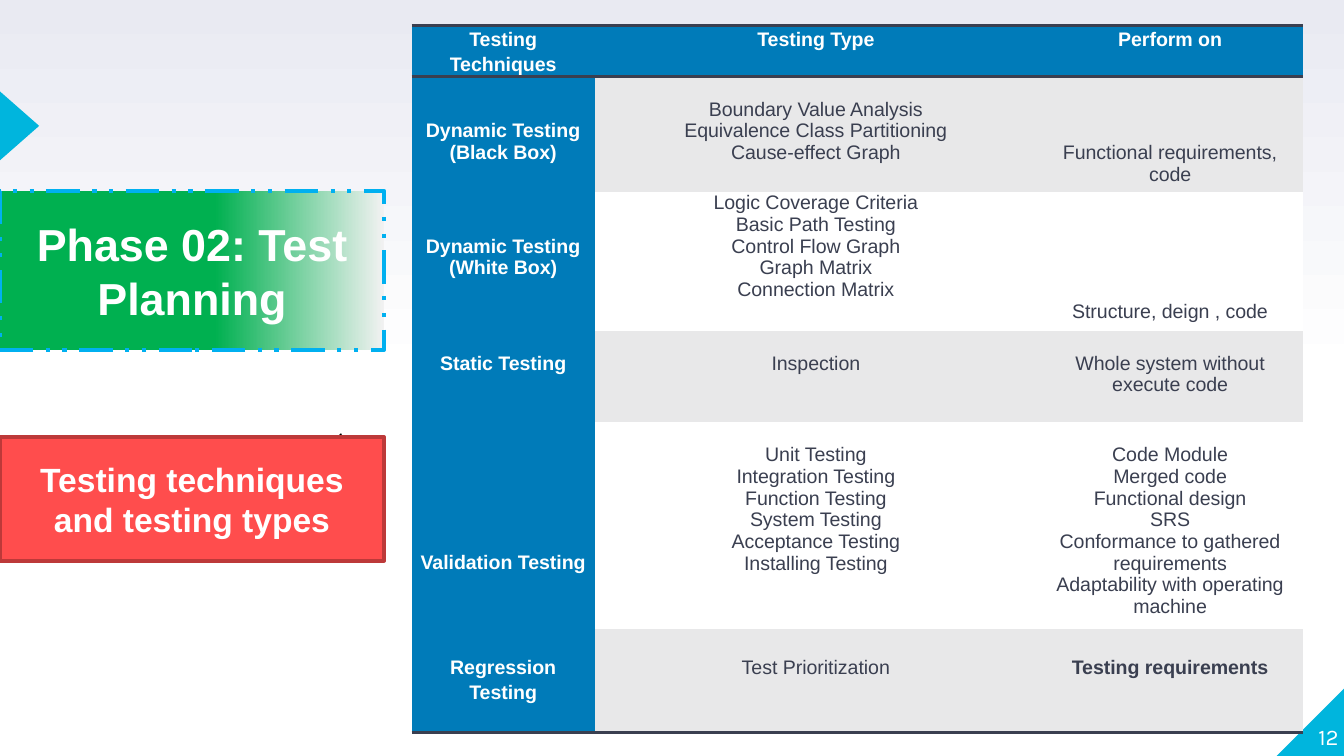
from dataclasses import dataclass

from lxml.etree import SubElement
from pptx import Presentation
from pptx.dml.color import RGBColor
from pptx.enum.dml import MSO_LINE
from pptx.enum.shapes import MSO_CONNECTOR, MSO_SHAPE
from pptx.enum.text import MSO_ANCHOR, MSO_AUTO_SIZE, PP_ALIGN
from pptx.oxml.ns import qn
from pptx.util import Cm, Pt


@dataclass(frozen=True)
class Theme:
    white: str = "FFFFFF"
    mist: str = "E9EAF2"
    cyan: str = "00B5DD"
    green: str = "00B050"
    pale: str = "F2F2F2"
    dash: str = "00B0F0"
    red: str = "FF4D4D"
    dark_red: str = "BD3939"
    blue: str = "007BB9"
    band: str = "E8E8E9"
    ink: str = "3A3F50"
    black: str = "000000"
    font: str = "Arial"
    number_font: str = "Karla"
    title_size: float = 24
    topic_size: float = 18
    number_size: float = 12
    table_size: float = 10.5


@dataclass(frozen=True)
class Entry:
    """Cell text, with the number of text lines left free above it."""
    lines: tuple[str, ...]
    drop: int = 0
    bold: bool = False


@dataclass(frozen=True)
class TableRow:
    height: float
    entries: tuple[Entry, Entry, Entry]
    spacing: float = 1.0
    rules: tuple[str, ...] = ()


THEME = Theme()
LINE_HEIGHT = 0.41
COLUMN_WIDTHS = (3.46, 8.36, 5.03)
ROWS = (
    TableRow(0.97, (Entry(("Testing Techniques",), bold=True),
                    Entry(("Testing Type",), bold=True),
                    Entry(("Perform on",), bold=True)), 1.15, ("a:lnB", "a:lnT")),
    TableRow(2.18, (Entry(("Dynamic Testing", "(Black Box)"), 2, True),
                    Entry(("Boundary Value Analysis", "Equivalence Class Partitioning",
                           "Cause-effect Graph"), 1),
                    Entry(("Functional requirements, code",), 3))),
    TableRow(2.62, (Entry(("Dynamic Testing", "(White Box)"), 2, True),
                    Entry(("Logic Coverage Criteria", "Basic Path Testing",
                           "Control Flow Graph", "Graph Matrix", "Connection Matrix")),
                    Entry(("Structure, deign , code",), 5))),
    TableRow(1.73, (Entry(("Static Testing",), 1, True),
                    Entry(("Inspection",), 1),
                    Entry(("Whole system without execute code",), 1))),
    TableRow(3.91, (Entry(("Validation Testing",), 6, True),
                    Entry(("Unit Testing", "Integration Testing", "Function Testing",
                           "System Testing", "Acceptance Testing", "Installing Testing"), 1),
                    Entry(("Code Module", "Merged code", "Functional design", "SRS",
                           "Conformance to gathered requirements",
                           "Adaptability with operating machine"), 1))),
    TableRow(1.96, (Entry(("Regression Testing",), 1, True),
                    Entry(("Test Prioritization",), 1),
                    Entry(("Testing requirements",), 1, True)), 1.15, ("a:lnB",)),
)


def rgb(value: str) -> RGBColor:
    return RGBColor.from_string(value)


def paint(fill, color: str) -> None:
    fill.solid()
    fill.fore_color.rgb = rgb(color)


def paint_gradient(fill, angle: float, *stops: tuple[float, str]) -> None:
    fill.gradient()
    fill.gradient_angle = angle
    for stop, (position, color) in zip(fill.gradient_stops, stops):
        stop.position = position
        stop.color.rgb = rgb(color)


def stroke(line, color: str, width: float) -> None:
    paint(line.fill, color)
    line.width = Pt(width)


def write(frame, lines: tuple[str, ...], size: float, color: str, bold: bool = False,
          font: str = THEME.font, align=PP_ALIGN.CENTER, spacing: float = 1.0) -> None:
    frame.word_wrap = True
    frame.text = "\n".join(lines)
    for paragraph in frame.paragraphs:
        paragraph.alignment = align
        paragraph.line_spacing = spacing
        paragraph.space_before = Pt(0)
        for span in paragraph.runs:
            span.font.name = font
            span.font.size = Pt(size)
            span.font.bold = bold
            span.font.color.rgb = rgb(color)


def place(box, left: float, top: float, width: float, height: float) -> None:
    box.left, box.top, box.width, box.height = map(Cm, (left, top, width, height))


def add_triangle(page, kind, left: float, top: float, width: float, height: float):
    triangle = page.shapes.add_shape(kind, *map(Cm, (left, top, width, height)))
    triangle.shadow.inherit = False
    paint(triangle.fill, THEME.cyan)
    triangle.line.fill.background()
    return triangle


def add_label(page, box, text: str, size: float) -> None:
    """Format a placeholder as a label and bring it to the front."""
    write(box.text_frame, (text,), size, THEME.white, bold=True)
    box.text_frame.auto_size = MSO_AUTO_SIZE.NONE
    box.text_frame.vertical_anchor = MSO_ANCHOR.MIDDLE
    page.shapes._spTree.append(box._element)


def add_rule(cell, side: str) -> None:
    properties = cell._tc.get_or_add_tcPr()
    rule = SubElement(properties, qn(side), w=str(Pt(2)))
    solid = SubElement(rule, qn("a:solidFill"))
    SubElement(solid, qn("a:srgbClr"), val=THEME.ink)
    properties.insert(0, rule)


def fill_cell(cell, entry: Entry, row: TableRow, background: str, color: str) -> None:
    cell.margin_left = cell.margin_right = Cm(0.05)
    cell.margin_top = Cm(entry.drop * LINE_HEIGHT * row.spacing)
    cell.margin_bottom = 0
    write(cell.text_frame, entry.lines, THEME.table_size, color, entry.bold,
          spacing=row.spacing)
    paint(cell.fill, background)
    for side in row.rules:
        add_rule(cell, side)


def add_testing_table(page) -> None:
    height = sum(row.height for row in ROWS)
    frame = page.shapes.add_table(len(ROWS), len(COLUMN_WIDTHS), Cm(7.78), Cm(0.48),
                                  Cm(sum(COLUMN_WIDTHS)), Cm(height))
    table = frame.table
    # The plain style has neither bands nor grid lines
    style = table._tbl.tblPr.find(qn("a:tableStyleId"))
    style.text = "{2D5ABB26-0587-4C30-8999-92F81FD0307C}"
    for column, width in zip(table.columns, COLUMN_WIDTHS):
        column.width = Cm(width)
    for number, row in enumerate(ROWS):
        table.rows[number].height = Cm(row.height)
        for index, entry in enumerate(row.entries):
            heading = number == 0 or index == 0
            band = THEME.band if number % 2 else THEME.white
            fill_cell(table.cell(number, index), entry, row,
                      THEME.blue if heading else band,
                      THEME.white if heading else THEME.ink)


def main() -> None:
    deck = Presentation()
    deck.slide_width, deck.slide_height = Cm(25.4), Cm(14.29)
    page = deck.slides.add_slide(deck.slide_layouts[1])
    title, topic = page.placeholders
    paint_gradient(page.background.fill, 90, (0.5, THEME.white), (1, THEME.mist))

    # Corner and edge triangles with the page number
    corner = add_triangle(page, MSO_SHAPE.RIGHT_TRIANGLE, 24.13, 12.99, 1.3, 1.3)
    corner._element.spPr.find(qn("a:xfrm")).set("flipH", "1")
    edge = add_triangle(page, MSO_SHAPE.ISOSCELES_TRIANGLE, -0.28, 2.01, 1.3, 0.74)
    edge.rotation = 90
    number = page.shapes.add_textbox(Cm(24.03), Cm(12.88), Cm(1.27), Cm(1.3))
    frame = number.text_frame
    frame.margin_left = frame.margin_right = frame.margin_top = frame.margin_bottom = 0
    frame.vertical_anchor = MSO_ANCHOR.BOTTOM
    write(frame, ("12",), THEME.number_size, THEME.white, font=THEME.number_font,
          align=PP_ALIGN.RIGHT)

    # Phase title
    place(title, 0, 3.61, 7.26, 3)
    paint_gradient(title.fill, 0, (0.56, THEME.green), (1, THEME.pale))
    stroke(title.line, THEME.dash, 2.25)
    title.line.dash_style = MSO_LINE.DASH_DOT_DOT
    add_label(page, title, "Phase 02: Test Planning", THEME.title_size)

    # Short tick behind the topic box
    tick = page.shapes.add_connector(MSO_CONNECTOR.STRAIGHT, Cm(6.45), Cm(8.2),
                                     Cm(6.32), Cm(8.33))
    stroke(tick.line, THEME.black, 0.75)
    SubElement(tick._element.spPr, qn("a:effectLst"))

    # Topic box, without list bullet or indent
    place(topic, 0, 8.26, 7.26, 2.34)
    paint(topic.fill, THEME.red)
    stroke(topic.line, THEME.dark_red, 2)
    add_label(page, topic, "Testing techniques and testing types", THEME.topic_size)
    properties = topic.text_frame.paragraphs[0]._p.get_or_add_pPr()
    properties.set("marL", "0")
    properties.set("indent", "0")
    SubElement(properties, qn("a:buNone"))

    add_testing_table(page)
    deck.save("out.pptx")


if __name__ == "__main__":
    main()
